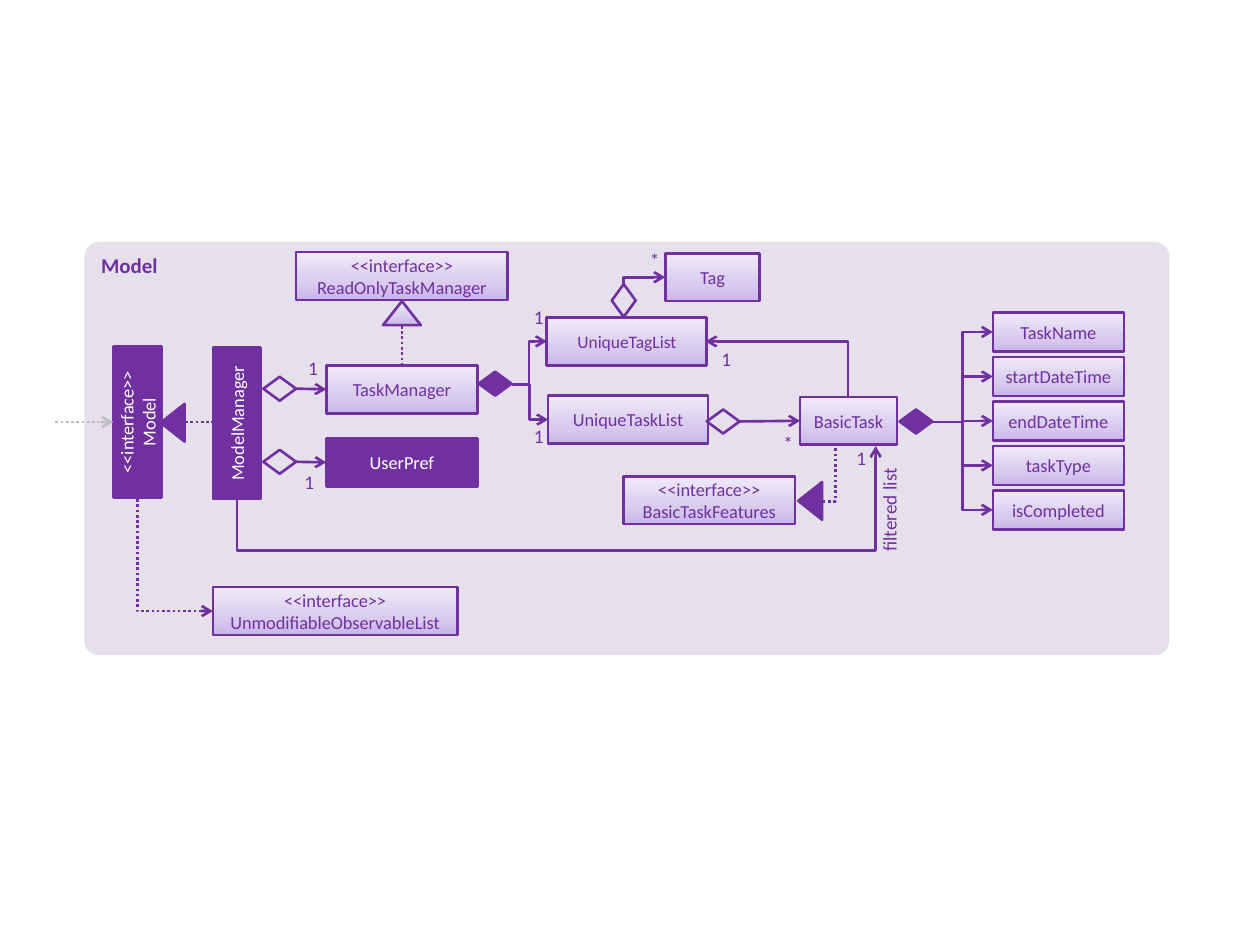
from lxml.etree import SubElement
from pptx import Presentation
from pptx.dml.color import RGBColor
from pptx.enum.dml import MSO_LINE
from pptx.enum.shapes import MSO_CONNECTOR, MSO_SHAPE
from pptx.enum.text import MSO_ANCHOR, PP_ALIGN
from pptx.oxml.ns import qn
from pptx.util import Inches, Pt

PURPLE, WHITE, PANEL, GREY = "7030A0", "FFFFFF", "E6E0EC", "BFBFBF"
GRADIENT = [(0, "C9B5E8"), (35, "D8CBEE"), (100, "F0EAF9")]
FONT = "Calibri"
BOX_H = 0.38

# text, left, top, width; "\n" starts a paragraph, "\v" breaks a line
SOLID_BOXES = [
    ("UserPref", 2.59, 3.48, 1.2, 0),
    ("ModelManager", 1.28, 3.17, 1.2, 270),
    ("<<interface>>\nModel", 0.49, 3.16, 1.2, 270),
]
LIGHT_BOXES = [
    ("TaskManager", 2.59, 2.9, 1.2, 10.5),
    ("UniqueTaskList", 4.35, 3.14, 1.27, 10.5),
    ("UniqueTagList", 4.34, 2.52, 1.27, 10),
    ("BasicTask", 6.35, 3.15, 0.77, 10.5),
    ("Tag", 5.28, 2.01, 0.75, 10.5),
    ("<<interface>>\vBasicTaskFeatures", 4.95, 3.78, 1.36, 10.5),
    ("<<interface>>\vReadOnlyTaskManager", 2.35, 2, 1.68, 10.5),
    ("<<interface>>\vUnmodifiableObservableList", 1.69, 4.66, 1.94, 10.5),
]
FIELDS = ["TaskName", "startDateTime", "endDateTime", "taskType", "isCompleted"]
FIELD_X, FIELD_Y, FIELD_W, FIELD_H, FIELD_STEP = 7.88, 2.48, 1.04, 0.31, 0.353

# owner: left, top, rotation, fill
DIAMONDS = {
    "UserPref": (2.09, 3.57, 0, None),
    "TaskManager": (2.09, 2.99, 0, None),
    "lists": (3.8, 2.95, 0, PURPLE),
    "BasicTask": (5.61, 3.25, 0, None),
    "Tag": (4.82, 2.29, 270, None),
    "fields": (7.14, 3.25, 0, PURPLE),
}
TRIANGLES = [
    (1.22, 3.26, 270, PURPLE),
    (6.28, 3.88, 270, PURPLE),
    (3.04, 2.39, 0, GRADIENT),
]
MULTIPLICITIES = [
    ("1", 4.17, 2.42), ("1", 4.17, 3.37), ("1", 5.66, 2.76), ("*", 5.09, 1.97),
    ("*", 6.15, 3.42), ("1", 2.38, 2.83), ("1", 2.35, 3.73), ("1", 6.73, 3.54),
]
# One-corner lines run sideways first: start, end, dotted, arrow at start
CORNERS = [
    ((6.53, 3.98), (6.63, 3.52), True, False),
    ((5.28, 2.2), (4.95, 2.25), False, True),
    ((1.69, 4.85), (1.09, 3.94), True, True),
    ((5.6, 2.71), (6.73, 3.15), False, True),
]
FORKS = [((4.06, 3.05), (4.35, 3.33)), ((4.06, 3.05), (4.34, 2.71))]

prs = Presentation()
prs.slide_width, prs.slide_height = Inches(10), Inches(7.5)
s = prs.slides.add_slide(prs.slide_layouts[6])


def rgb(hex_color):
    return RGBColor.from_string(hex_color)


def paint(sp, fill):
    """Fill with nothing, a hex colour or a list of gradient stops."""
    if fill is None:
        sp.fill.background()
    elif isinstance(fill, str):
        sp.fill.solid()
        sp.fill.fore_color.rgb = rgb(fill)
    else:
        sp.fill.gradient()
        grad = sp._element.spPr.find(qn("a:gradFill"))
        stops = grad.find(qn("a:gsLst"))
        for old in list(stops):
            stops.remove(old)
        for pos, color in fill:
            gs = SubElement(stops, qn("a:gs"), pos=str(pos * 1000))
            SubElement(gs, qn("a:srgbClr"), val=color)
        grad.find(qn("a:lin")).set("ang", str(270 * 60000))


def add_shape(kind, x, y, w, h, fill, line=PURPLE, rot=0):
    sp = s.shapes.add_shape(kind, Inches(x), Inches(y), Inches(w), Inches(h))
    sp.shadow.inherit = False
    sp.rotation = rot
    paint(sp, fill)
    if line:
        sp.line.color.rgb = rgb(line)
        sp.line.width = Pt(1.5)
    else:
        sp.line.fill.background()
    return sp


def write(sp, text, size, color, align=PP_ALIGN.CENTER, anchor=MSO_ANCHOR.MIDDLE,
          inset=(0.08, 0.05), bold=False):
    tf = sp.text_frame
    tf.word_wrap = True
    tf.vertical_anchor = anchor
    tf.margin_left = tf.margin_right = Inches(inset[0])
    tf.margin_top = tf.margin_bottom = Inches(inset[1])
    for i, paragraph in enumerate(text.split("\n")):
        p = tf.add_paragraph() if i else tf.paragraphs[0]
        p.alignment = align
        for j, line in enumerate(paragraph.split("\v")):
            if j:
                p.add_line_break()
            r = p.add_run()
            r.text = line
            r.font.name, r.font.size, r.font.bold = FONT, Pt(size), bold
            r.font.color.rgb = rgb(color)


def add_label(text, x, y, w, h, **style):
    tb = s.shapes.add_textbox(Inches(x), Inches(y), Inches(w), Inches(h))
    write(tb, text, 11, PURPLE, anchor=MSO_ANCHOR.TOP, **style)
    return tb


def add_line(start, end, kind=MSO_CONNECTOR.STRAIGHT, color=PURPLE, dotted=False, arrow="tailEnd"):
    """Arrow is tailEnd (at end), headEnd (at start) or None."""
    c = s.shapes.add_connector(kind, *map(Inches, start + end))
    c.line.color.rgb = rgb(color)
    c.line.width = Pt(1.5)
    if dotted:
        c.line.dash_style = MSO_LINE.ROUND_DOT
    spPr = c._element.spPr
    if arrow:
        SubElement(spPr.find(qn("a:ln")), qn("a:" + arrow), type="arrow")
    SubElement(spPr, qn("a:effectLst"))
    return c


panel = add_shape(MSO_SHAPE.ROUNDED_RECTANGLE, 0.67, 1.92, 8.61, 3.28, PANEL, None)
panel.adjustments[0] = 0.035
write(panel, "Model", 12, PURPLE, PP_ALIGN.LEFT, MSO_ANCHOR.TOP, (0.1, 0.05), True)

boxes = {}
for text, x, y, w, rot in SOLID_BOXES:
    boxes[text] = add_shape(MSO_SHAPE.RECTANGLE, x, y, w, BOX_H, PURPLE, rot=rot)
    write(boxes[text], text, 10.5, WHITE)
for text, x, y, w, size in LIGHT_BOXES:
    boxes[text] = add_shape(MSO_SHAPE.RECTANGLE, x, y, w, BOX_H, GRADIENT)
    write(boxes[text], text, size, PURPLE)
diamonds = {
    owner: add_shape(MSO_SHAPE.FLOWCHART_DECISION, x, y, 0.26, 0.19, fill, rot=rot)
    for owner, (x, y, rot, fill) in DIAMONDS.items()
}
for x, y, rot, fill in TRIANGLES:
    add_shape(MSO_SHAPE.ISOSCELES_TRIANGLE, x, y, 0.3, 0.19, fill, rot=rot)

for i, field in enumerate(FIELDS):
    y = FIELD_Y + i * FIELD_STEP
    sp = add_shape(MSO_SHAPE.RECTANGLE, FIELD_X, y, FIELD_W, FIELD_H, GRADIENT)
    write(sp, field, 10.5, PURPLE)
    add_line((7.4, 3.35), (FIELD_X, y + FIELD_H / 2), MSO_CONNECTOR.ELBOW)

for owner in ("UserPref", "TaskManager", "BasicTask"):
    c = add_line((0, 0), (1, 1))
    c.begin_connect(diamonds[owner], 3)
    c.end_connect(boxes[owner], 1)
add_line((3.19, 2.9), (3.19, 2.59), dotted=True, arrow=None).begin_connect(boxes["TaskManager"], 0)
add_line((1.47, 3.35), (1.7, 3.35), dotted=True, arrow=None)
add_line((0.44, 3.35), (0.9, 3.35), color=GREY, dotted=True)

for start, end in FORKS:
    add_line(start, end, MSO_CONNECTOR.ELBOW)
for start, end, dotted, arrow in CORNERS:
    c = add_line(start, end, MSO_CONNECTOR.ELBOW, dotted=dotted, arrow="headEnd" if arrow else None)
    c._element.spPr.find(qn("a:prstGeom")).set("prst", "bentConnector2")

# The filtered list line leaves ModelManager downwards and rises to BasicTask:
# an elbow turned by 270 degrees whose middle part lies below both ends.
(x1, y1), (x2, y2), low = (1.88, 3.95), (6.95, 3.54), 4.37
cx, cy, rise, run = (x1 + x2) / 2, (y1 + y2) / 2, y1 - y2, x2 - x1
c = add_line((cx - rise / 2, cy - run / 2), (cx + rise / 2, cy + run / 2), MSO_CONNECTOR.ELBOW)
c._element.spPr.find(qn("a:xfrm")).set("rot", str(270 * 60000))
guides = c._element.spPr.find(qn("a:prstGeom")).find(qn("a:avLst"))
SubElement(guides, qn("a:gd"), name="adj1", fmla=f"val {round((y1 - low) / rise * 100000)}")

for text, x, y in MULTIPLICITIES:
    add_label(text, x, y, 0.21, 0.2, inset=(0, 0))
add_label("filtered list", 6.58, 3.95, 0.96, 0.29, align=PP_ALIGN.RIGHT, inset=(0.1, 0.05)).rotation = 270

prs.save("out.pptx")
